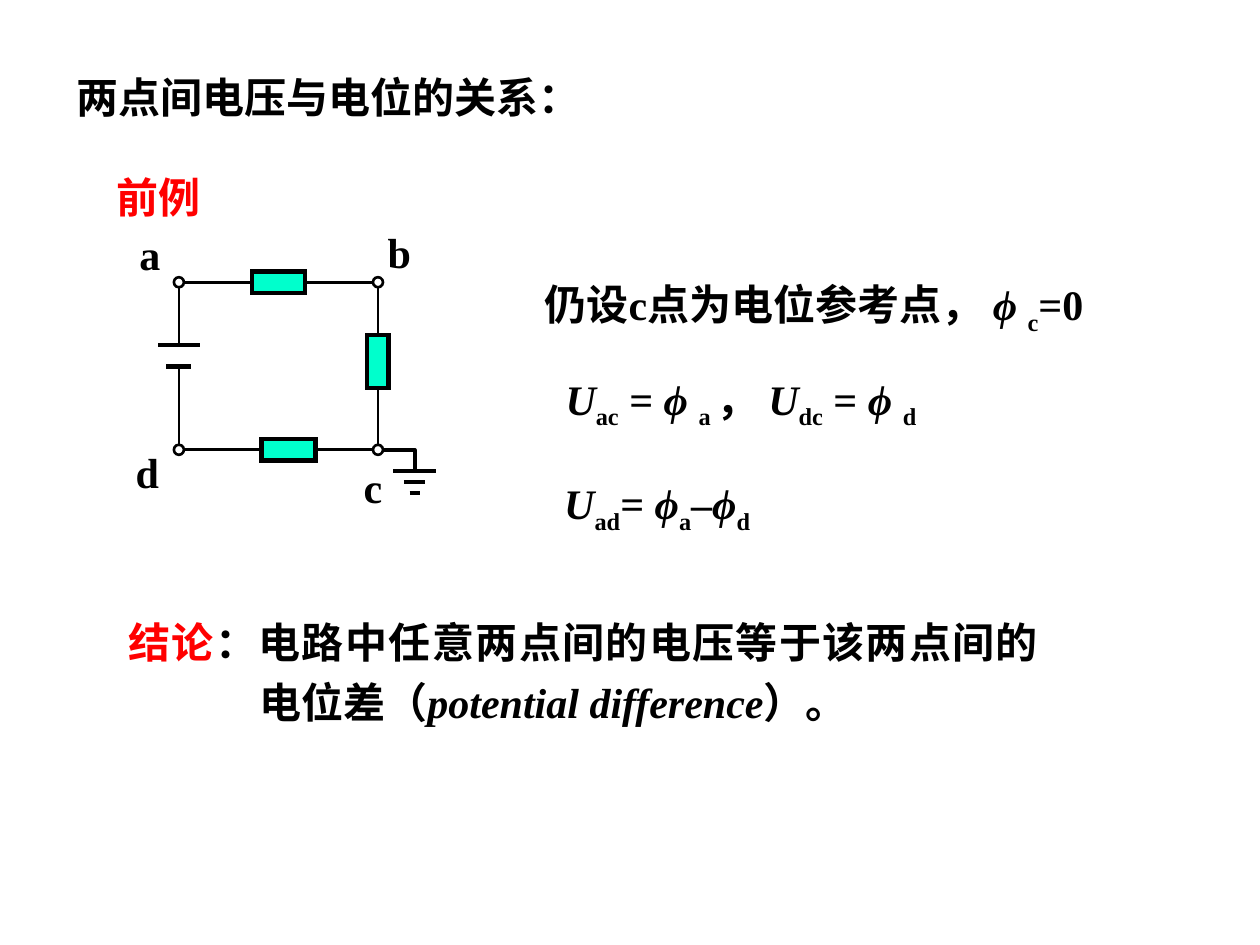
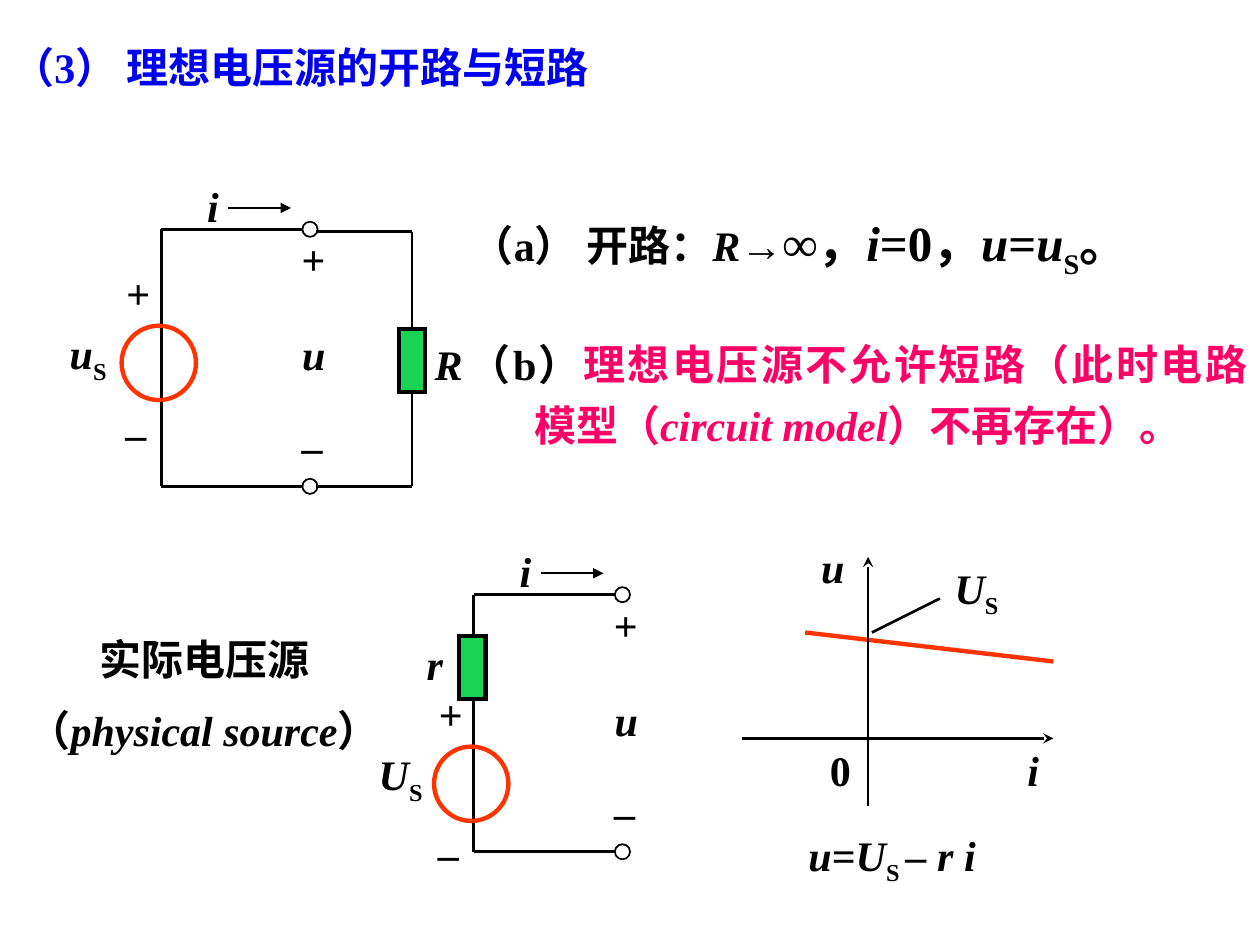
from dataclasses import dataclass, replace
from typing import Optional

from lxml import etree
from pptx import Presentation
from pptx.dml.color import RGBColor
from pptx.enum.lang import MSO_LANGUAGE_ID
from pptx.enum.shapes import MSO_CONNECTOR, MSO_SHAPE
from pptx.enum.text import MSO_ANCHOR, PP_ALIGN
from pptx.oxml.ns import qn
from pptx.util import Inches, Pt

COLORS = {
    "ink": "000000", "paper": "FFFFFF", "key": "FF0000", "title": "0000F0",
    "warning": "FF0066", "source": "FF3300", "mint": "00FFCC", "green": "18D452",
}
FONT = "Times New Roman"
LINE_HEIGHT = 0.5
NODE = 0.08
TERMINAL = 0.12
SOURCE = 0.59
LEFT, CENTER, JUSTIFY = PP_ALIGN.LEFT, PP_ALIGN.CENTER, PP_ALIGN.JUSTIFY


@dataclass(frozen=True)
class Run:
    text: str
    size: int = 24
    color: str = "ink"
    italic: bool = False
    sub: bool = False


@dataclass(frozen=True)
class Label:
    x: float
    y: float
    runs: tuple
    rotation: int = 0
    width: float = 0.7


def it(text: str, **fmt) -> Run:
    return Run(text, italic=True, **fmt)


def sub(text: str, **fmt) -> Run:
    return Run(text, sub=True, **fmt)


def rgb(name: str) -> RGBColor:
    return RGBColor.from_string(COLORS[name])


def add_text(s, box: tuple, *paragraphs: tuple, align=CENTER, hanging: float = 0,
             spacing: Optional[float] = None, rotation: int = 0) -> None:
    """Each paragraph is a tuple of runs; box is left, top, width, height."""
    sp = s.shapes.add_textbox(*map(Inches, box))
    sp.rotation = rotation
    tf = sp.text_frame
    tf.word_wrap = True
    tf.vertical_anchor = MSO_ANCHOR.MIDDLE
    for n, runs in enumerate(paragraphs):
        p = tf.add_paragraph() if n else tf.paragraphs[0]
        p.alignment = align
        if n:
            p.space_before = Pt(12)
        if spacing:
            p.line_spacing = spacing
        if hanging:
            pPr = p._p.get_or_add_pPr()
            pPr.set("marL", str(Inches(hanging)))
            pPr.set("indent", str(-Inches(hanging)))
        for run in runs:
            r = p.add_run()
            r.text = run.text
            f = r.font
            f.name, f.size, f.bold, f.italic = FONT, Pt(run.size), True, run.italic
            f.language_id = MSO_LANGUAGE_ID.SIMPLIFIED_CHINESE
            f.color.rgb = rgb(run.color)
            if run.sub:
                r._r.get_or_add_rPr().set("baseline", "-25000")


def add_label(s, label: Label) -> None:
    """Place a one-line text by its centre."""
    box = (label.x - label.width / 2, label.y - LINE_HEIGHT / 2, label.width, LINE_HEIGHT)
    add_text(s, box, label.runs, rotation=label.rotation)


def add_line(s, start: tuple, end: tuple, width: float = 1.5, color: str = "ink",
             arrow: Optional[str] = None) -> None:
    c = s.shapes.add_connector(MSO_CONNECTOR.STRAIGHT, *map(Inches, start + end))
    c.line.width = Pt(width)
    c.line.color.rgb = rgb(color)
    if arrow:
        tail = etree.SubElement(c.line._get_or_add_ln(), qn("a:tailEnd"))
        tail.set("type", arrow)
    etree.SubElement(c._element.spPr, qn("a:effectLst"))


def add_wire(s, *points: tuple, width: float = 1.5) -> None:
    first, *rest = [tuple(map(Inches, point)) for point in points]
    builder = s.shapes.build_freeform(*first)
    builder.add_line_segments(rest, close=False)
    sp = builder.convert_to_shape()
    sp.shadow.inherit = False
    sp.fill.background()
    sp.line.width = Pt(width)
    sp.line.color.rgb = rgb("ink")


def add_part(s, kind, center: tuple, size: tuple, fill: Optional[str] = None,
             color: str = "ink", width: float = 2.5) -> None:
    """Place a circuit part by its centre, with sharp corners."""
    (x, y), (w, h) = center, size
    sp = s.shapes.add_shape(kind, *map(Inches, (x - w / 2, y - h / 2, w, h)))
    sp.shadow.inherit = False
    if fill:
        sp.fill.solid()
        sp.fill.fore_color.rgb = rgb(fill)
    else:
        sp.fill.background()
    sp.line.width = Pt(width)
    sp.line.color.rgb = rgb(color)
    etree.SubElement(sp.line._get_or_add_ln(), qn("a:miter")).set("lim", "800000")


def add_resistor(s, center: tuple, size: tuple, fill: str) -> None:
    add_part(s, MSO_SHAPE.RECTANGLE, center, size, fill)


def bridge_circuit(s) -> None:
    left, right, top, bottom = 1.42, 3.0, 2.24, 3.57
    earth = 3.29
    add_wire(s, (right, bottom), (earth, bottom), (earth, 3.74), width=2.25)
    for n, half in enumerate((0.17, 0.085, 0.04)):
        y = 3.74 + n * 0.085
        add_line(s, (earth - half, y), (earth + half, y), 2.25)
    for y, half in ((2.74, 0.165), (2.91, 0.1)):
        add_line(s, (left - half, y), (left + half, y), 2.5)
    add_wire(s, (left, 2.74), (left, top), (2.0, top))
    add_wire(s, (2.42, top), (right, top), (right, 2.66))
    add_wire(s, (left, 2.91), (left, bottom), (2.08, bottom))
    add_wire(s, (2.5, bottom), (right, bottom), (right, 3.07))
    for center, size in (((2.21, top), (0.42, 0.17)), ((right, 2.87), (0.17, 0.42)),
                         ((2.29, bottom), (0.43, 0.17))):
        add_resistor(s, center, size, "mint")
    for x in (left, right):
        for y in (top, bottom):
            add_part(s, MSO_SHAPE.OVAL, (x, y), (NODE, NODE), "paper", width=1.5)
    for name, x, y in (("a", 1.19, 2.01), ("b", 3.17, 2.0), ("c", 2.96, 3.86), ("d", 1.17, 3.74)):
        add_label(s, Label(x, y, (Run(name),)))


def source_circuit(s, x: float, y: float, name: str, drop: float = 0) -> None:
    """Draw a voltage source whose upper left corner is x, y and whose symbol sits lower by drop."""
    height, reach = 2.04, 1.12
    add_line(s, (x + 0.53, y - 0.17), (x + 1.03, y - 0.17), 1, arrow="triangle")
    add_line(s, (x, y + height), (x, y))
    add_part(s, MSO_SHAPE.OVAL, (x - 0.02, y + 1.06 + drop), (SOURCE, SOURCE), color="source")
    for level in (y, y + height):
        add_line(s, (x + reach, level), (x, level))
        add_part(s, MSO_SHAPE.OVAL, (x + reach + TERMINAL / 2, level), (TERMINAL, TERMINAL), width=1)
    for label in (
        Label(-0.58, 1.01 + drop, (it(name), sub("S"))),
        Label(-0.18, 0.55 + drop, (it("+"),), 180),
        Label(-0.18, 1.5 + drop, (it("_"),)),
        Label(0.41, -0.19, (it("i"),)),
        Label(1.21, 0.99, (it("u"),)),
        Label(1.21, 0.28, (it("+"),), 180),
        Label(1.22, 1.61, (it("_"),)),
    ):
        add_label(s, replace(label, x=x + label.x, y=y + label.y))


def load_branch(s) -> None:
    start, right, top, bottom = 2.51, 3.27, 1.84, 3.86
    add_line(s, (start, top), (right, top))
    add_line(s, (right, top), (right, bottom))
    add_line(s, (start, bottom), (right, bottom))
    add_resistor(s, (right, 2.86), (0.21, 0.5), "green")
    add_label(s, Label(3.56, 2.89, (it("R"),)))


def source_graph(s) -> None:
    add_line(s, (6.39, 5.02), (8.36, 5.25), 2.5, "source")
    add_line(s, (5.89, 5.86), (8.36, 5.86), arrow="stealth")
    add_line(s, (6.89, 6.4), (6.89, 4.42), arrow="stealth")
    add_line(s, (7.46, 4.75), (6.92, 5.02))
    for label in (
        Label(7.75, 4.69, (it("U"), sub("S"))),
        Label(6.61, 4.5, (it("u"),)),
        Label(8.2, 6.11, (it("i"),)),
        Label(6.67, 6.11, (Run("0"),)),
        Label(7.08, 6.81, (it("u"), Run("="), it("U"), sub("S "), it("– r i")), width=2),
    ):
        add_label(s, label)


def potential_slide(s) -> None:
    add_text(s, (0.51, 0.52, 5.17, LINE_HEIGHT), (Run("两点间电压与电位的关系："),), align=JUSTIFY)
    add_text(s, (0.51, 1.31, 1.5, LINE_HEIGHT), (Run("前例", color="key"),))
    bridge_circuit(s)
    add_text(s, (3.92, 2.19, 5.08, LINE_HEIGHT),
             (Run("仍设c点为电位参考点， "), it("ϕ "), sub("c"), Run("=0")))
    add_text(s, (3.92, 2.94, 3.92, LINE_HEIGHT),
             (it("U"), sub("ac"), Run(" = "), it("ϕ "), sub("a "), Run("， "),
              it("U"), sub("dc"), Run(" = "), it("ϕ "), sub("d")))
    add_text(s, (4.38, 3.77, 2.5, LINE_HEIGHT),
             (it("U"), sub("ad"), Run("= "), it("ϕ"), sub("a"), Run("–"), it("ϕ"), sub("d")),
             align=LEFT)
    add_text(s, (0.92, 4.76, 7.42, 1.06),
             (Run("结论", color="key"), Run("：电路中任意两点间的电压等于该两点间的电位差（"),
              it("potential difference"), Run("）。")),
             align=JUSTIFY, hanging=1.04, spacing=1.2)


def voltage_source_slide(s) -> None:
    add_text(s, (0, 0.28, 5.43, LINE_HEIGHT),
             (Run("（3） 理想电压源的开路与短路", color="title"),), align=LEFT)
    source_circuit(s, 1.28, 1.82, "u")
    load_branch(s)
    add_text(s, (3.62, 1.67, 5.46, 0.57),
             (Run("（a） 开路："), it("R"), Run("→"), Run("∞，", size=28), it("i", size=28),
              Run("=0，", size=28), it("u", size=28), Run("=", size=28), it("u", size=28),
              sub("S", size=28), Run("。", size=28)))
    add_text(s, (3.62, 2.56, 6.38, 1.06),
             (Run("（b）"), Run("理想电压源不允许短路（此时电路模型（", color="warning"),
              it("circuit model", color="warning"), Run("）不再存在）。", color="warning")),
             align=JUSTIFY, hanging=0.52, spacing=1.2)
    source_circuit(s, 3.76, 4.72, "U", drop=0.44)
    add_resistor(s, (3.75, 5.3), (0.21, 0.5), "green")
    add_label(s, Label(3.45, 5.27, (it("r"),)))
    source_graph(s)
    add_text(s, (0.06, 4.96, 3.12, 1.1), (Run("实际电压源"),),
             (Run("（"), it("physical source"), Run("）")))


def main() -> None:
    prs = Presentation()
    prs.slide_width, prs.slide_height = Inches(10), Inches(7.5)
    for build in (potential_slide, voltage_source_slide):
        build(prs.slides.add_slide(prs.slide_layouts[6]))
    prs.save("out.pptx")


if __name__ == "__main__":
    main()
